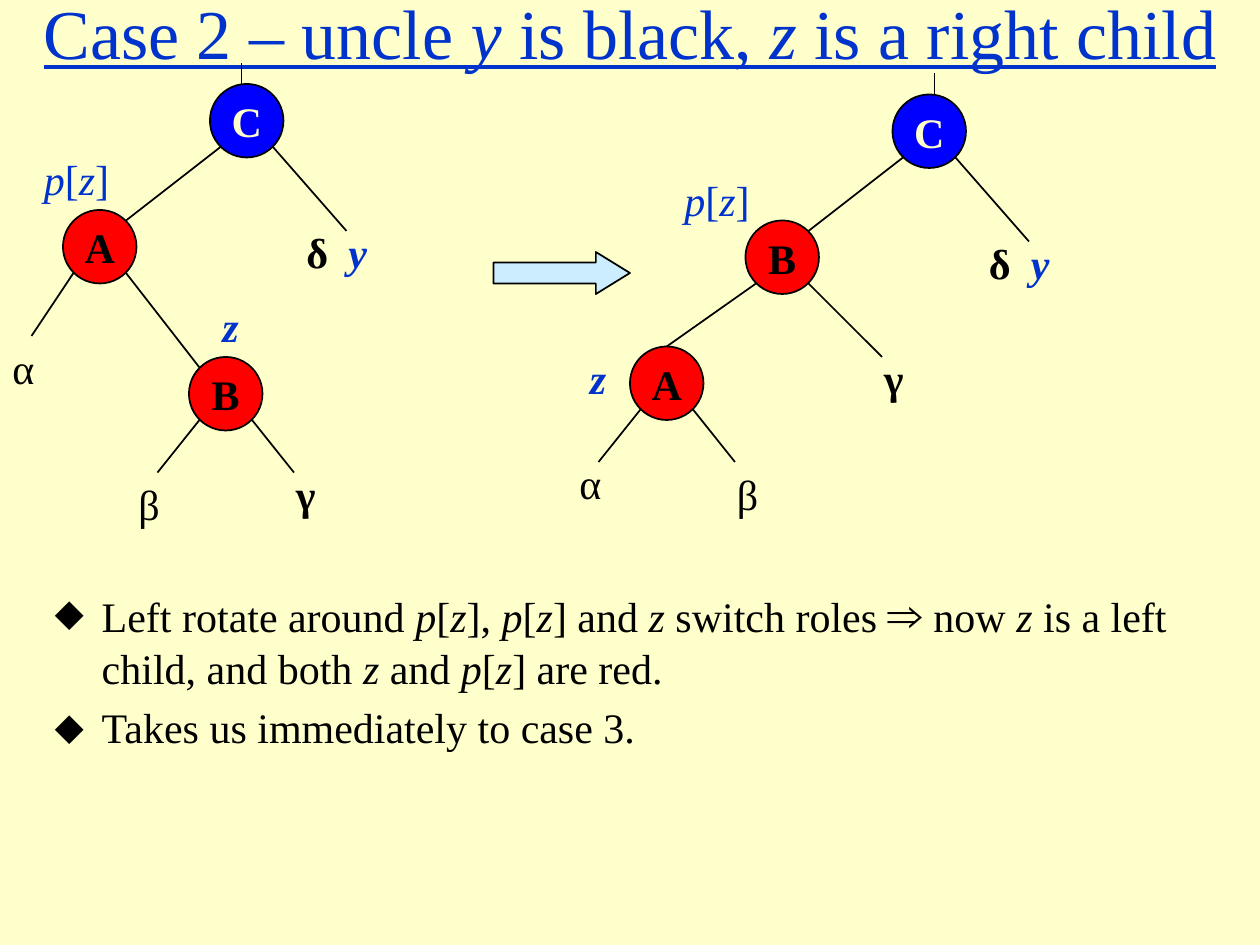
from lxml.etree import SubElement
from pptx import Presentation
from pptx.dml.color import RGBColor
from pptx.enum.shapes import MSO_CONNECTOR, MSO_SHAPE
from pptx.enum.text import MSO_ANCHOR, MSO_AUTO_SIZE, PP_ALIGN
from pptx.oxml.ns import qn
from pptx.util import Cm, Pt

HUES = {"page": "FFFFCC", "title": "0033CC", "body": "010000", "ink": "000000",
        "black": "0000FF", "red": "FF0000", "arrow": "CCECFF"}
SERIF = "Times New Roman"
NODE = 7  # node diameter in grid steps

# Label text: width in grid steps, colour, bold; asterisks enclose italics
LABELS = {
    "α": (4.9, "ink", False), "β": (4.6, "ink", False),
    "γ": (4.9, "ink", True), "δ": (4.4, "ink", True),
    "*z*": (4, "title", True), "*y*": (4.2, "title", True),
    "*p*[*z*]": (8.6, "title", False),
}

# Both trees, in grid steps
BEFORE = {
    "nodes": {"C": (20, 8), "A": (6, 20), "B": (18, 34)},
    "edges": [(23, 6, 23, 8), (21, 14, 12, 21), (26, 14, 33, 22), (12, 26, 19, 35),
              (7, 26, 3, 32), (19, 40, 15, 45), (24, 40, 28, 45)],
    "labels": {"α": (0, 32), "β": (12, 45), "γ": (27, 44), "δ": (28, 21),
               "*z*": (20, 28), "*y*": (32, 21), "*p*[*z*]": (3, 14)},
}
AFTER = {
    "nodes": {"C": (85, 9), "B": (71, 21), "A": (60, 33)},
    "edges": [(89, 7, 89, 9), (86, 15, 77, 22), (91, 15, 98, 23), (72, 27, 63.5, 33),
              (77, 27, 84, 34), (61, 39, 57, 44), (66, 39, 70, 44)],
    "labels": {"α": (54, 43), "β": (69, 44), "γ": (83, 33), "δ": (93, 22),
               "*z*": (55, 33), "*y*": (97, 22), "*p*[*z*]": (64, 16)},
}


def grid(*steps):
    """Turn grid steps, twelve to 2.54 cm, into lengths."""
    return [Cm(step * 2.54 / 12) for step in steps]


def tint(name):
    return RGBColor.from_string(HUES[name])


def style(item, **values):
    for key, value in values.items():
        setattr(item, key, value)


def write(para, text, hue, **looks):
    """Add runs to a paragraph; asterisks switch italics on and off."""
    for index, part in enumerate(text.split("*")):
        if part:
            run = para.add_run()
            run.text = part
            style(run.font, **{"name": SERIF, "size": Pt(24),
                               "italic": index % 2 == 1, **looks})
            run.font.color.rgb = tint(hue)


def shape(slide, kind, box, hue):
    item = slide.shapes.add_shape(kind, *grid(*box))
    item.shadow.inherit = False
    item.fill.solid()
    item.fill.fore_color.rgb = tint(hue)
    item.line.color.rgb = tint("ink")
    item.line.width = Pt(1)
    return item


def node(slide, name, spot):
    hue, ink = ("black", "page") if name == "C" else ("red", "ink")
    frame = shape(slide, MSO_SHAPE.OVAL, (*spot, NODE, NODE), hue).text_frame
    style(frame, word_wrap=False, vertical_anchor=MSO_ANCHOR.MIDDLE)
    para = frame.paragraphs[0]
    para.alignment = PP_ALIGN.CENTER
    write(para, name, ink, bold=True)


def edge(slide, ends):
    line = slide.shapes.add_connector(MSO_CONNECTOR.STRAIGHT, *grid(*ends))
    line.line.color.rgb = tint("ink")
    line.line.width = Pt(1)
    SubElement(line._element.spPr, qn("a:effectLst"))


def label(slide, text, spot):
    width, hue, bold = LABELS[text]
    frame = slide.shapes.add_textbox(*grid(*spot, width, 6)).text_frame
    style(frame, word_wrap=False, auto_size=MSO_AUTO_SIZE.SHAPE_TO_FIT_TEXT)
    write(frame.paragraphs[0], text, hue, bold=bold)


def tree(slide, parts):
    for name, spot in parts["nodes"].items():
        node(slide, name, spot)
    for ends in parts["edges"]:
        edge(slide, ends)
    for text, spot in parts["labels"].items():
        label(slide, text, spot)


def place(holder, box, anchor):
    """Move a placeholder and return its text frame."""
    style(holder, **dict(zip(("left", "top", "width", "height"), grid(*box))))
    frame = holder.text_frame
    style(frame, word_wrap=True, auto_size=MSO_AUTO_SIZE.NONE, vertical_anchor=anchor)
    return frame


def bullet(para, gap):
    props = para._p.get_or_add_pPr()
    props.set("marL", str(Cm(0.95)))
    props.set("indent", str(Cm(-0.95)))
    SubElement(props, qn("a:buChar")).set("char", "⬥")
    para.space_before = Pt(gap)


def main():
    deck = Presentation()
    style(deck, slide_width=Cm(25.4), slide_height=Cm(19.05))
    slide = deck.slides.add_slide(deck.slide_layouts[1])
    slide.background.fill.solid()
    slide.background.fill.fore_color.rgb = tint("page")
    title, body = slide.placeholders

    # Title
    head = place(title, (0, -3, 120, 12), MSO_ANCHOR.MIDDLE).paragraphs[0]
    head.alignment = PP_ALIGN.CENTER
    write(head, "Case 2 – uncle *y *is black, *z* is a right child", "title",
          size=Pt(40), underline=True)

    # Explanation
    frame = place(body, (4, 55, 111, 30), MSO_ANCHOR.TOP)
    first, last = frame.paragraphs[0], frame.add_paragraph()
    bullet(first, 0)
    bullet(last, 5)
    write(first, "Left rotate around *p*[*z*], *p*[*z*] and *z* switch roles ", "body")
    write(first, "⇒", "body", size=Pt(28))
    write(first, " ", "body", name="Roboto")
    write(first, "now *z *is a left child, and both *z *and *p*[*z*] are red.", "body")
    write(last, "Takes us immediately to case 3.", "body")

    # Trees before and after the rotation
    tree(slide, BEFORE)
    arrow = shape(slide, MSO_SHAPE.RIGHT_ARROW, (47, 24, 13, 4), "arrow")
    arrow.adjustments[0], arrow.adjustments[1] = 0.5, 0.81
    tree(slide, AFTER)

    deck.save("out.pptx")


if __name__ == "__main__":
    main()
